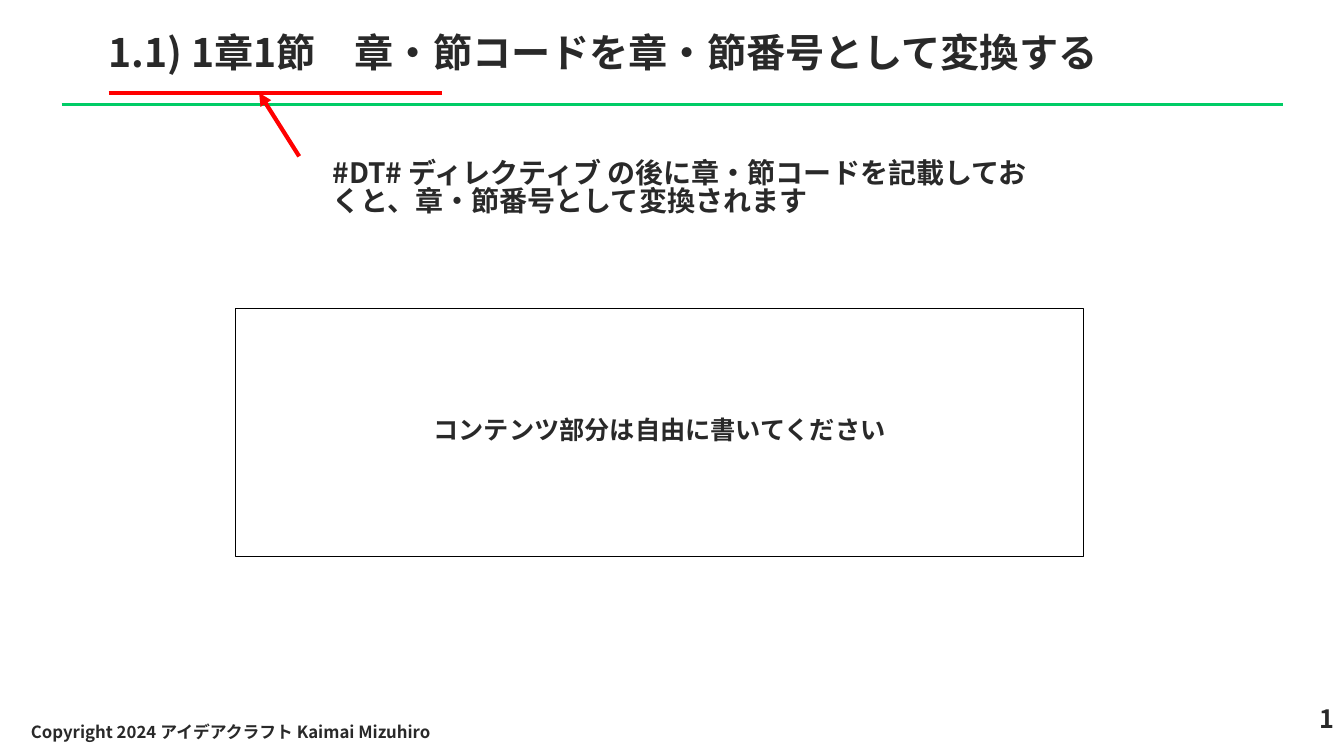
from typing import NamedTuple, Optional

from lxml.etree import SubElement
from pptx import Presentation
from pptx.dml.color import RGBColor
from pptx.enum.shapes import MSO_CONNECTOR, MSO_SHAPE
from pptx.enum.text import MSO_ANCHOR, PP_ALIGN
from pptx.oxml.ns import qn
from pptx.util import Cm, Pt

INK = RGBColor(0x29, 0x29, 0x29)
BLACK = RGBColor(0x00, 0x00, 0x00)
GREEN = RGBColor(0x00, 0xCC, 0x66)
RED = RGBColor(0xFF, 0x00, 0x00)
FONT = "Noto Sans CJK JP"


class Line(NamedTuple):
    x1: float
    y1: float
    x2: float
    y2: float
    color: RGBColor
    width: float
    arrow: bool = False


class Label(NamedTuple):
    text: str
    left: float
    top: float
    width: float
    height: float
    size: int
    align: PP_ALIGN = PP_ALIGN.LEFT
    anchor: MSO_ANCHOR = MSO_ANCHOR.TOP
    spacing: float = 0.83
    wrap: bool = True
    border: Optional[RGBColor] = None


LINES = [
    Line(1.55, 2.64, 32.33, 2.64, GREEN, 2.25),
    Line(7.54, 3.94, 6.53, 2.34, RED, 3, arrow=True),
    Line(2.74, 2.34, 11.13, 2.34, RED, 3),
]

LABELS = [
    Label("1.1) 1章1節　章・節コードを章・節番号として変換する",
          2.49, 0.74, 30.43, 1.8, 28, spacing=0.88),
    Label("コンテンツ部分は自由に書いてください", 5.94, 7.77, 21.36, 6.25, 18,
          PP_ALIGN.CENTER, MSO_ANCHOR.MIDDLE, wrap=False, border=BLACK),
    Label("#DT# ディレクティブ の後に章・節コードを記載しておくと、章・節番号として変換されます",
          8.13, 3.94, 18.39, 1.96, 20),
    Label("1", 29.74, 17.73, 4.13, 1.27, 18, PP_ALIGN.RIGHT),
    Label("Copyright 2024 アイデアクラフト Kaimai Mizuhiro",
          0.53, 17.98, 15.39, 1.02, 12, anchor=MSO_ANCHOR.MIDDLE),
]


def draw_line(s, line: Line) -> None:
    c = s.shapes.add_connector(MSO_CONNECTOR.STRAIGHT, Cm(line.x1), Cm(line.y1),
                               Cm(line.x2), Cm(line.y2))
    c.line.color.rgb = line.color
    c.line.width = Pt(line.width)
    if line.arrow:
        SubElement(c.line._get_or_add_ln(), qn("a:tailEnd"), type="triangle")
    SubElement(c._element.spPr, qn("a:effectLst"))


def draw_label(s, label: Label) -> None:
    box = (Cm(label.left), Cm(label.top), Cm(label.width), Cm(label.height))
    if label.border is None:
        sp = s.shapes.add_textbox(*box)
    else:
        sp = s.shapes.add_shape(MSO_SHAPE.RECTANGLE, *box)
        sp.shadow.inherit = False
        sp.fill.background()
        sp.line.color.rgb = label.border
        sp.line.width = Pt(0.75)
    tf = sp.text_frame
    tf.word_wrap = label.wrap
    tf.vertical_anchor = label.anchor
    p = tf.paragraphs[0]
    p.alignment = label.align
    p.line_spacing = label.spacing
    r = p.add_run()
    r.text = label.text
    for name, value in {"name": FONT, "size": Pt(label.size), "bold": True}.items():
        setattr(r.font, name, value)
    r.font.color.rgb = INK
    SubElement(r._r.get_or_add_rPr(), qn("a:ea"), typeface=FONT)


def main() -> None:
    prs = Presentation()
    prs.slide_width, prs.slide_height = Cm(33.87), Cm(19.05)
    s = prs.slides.add_slide(prs.slide_layouts[6])
    for line in LINES:
        draw_line(s, line)
    for label in LABELS:
        draw_label(s, label)
    prs.save("out.pptx")


if __name__ == "__main__":
    main()
